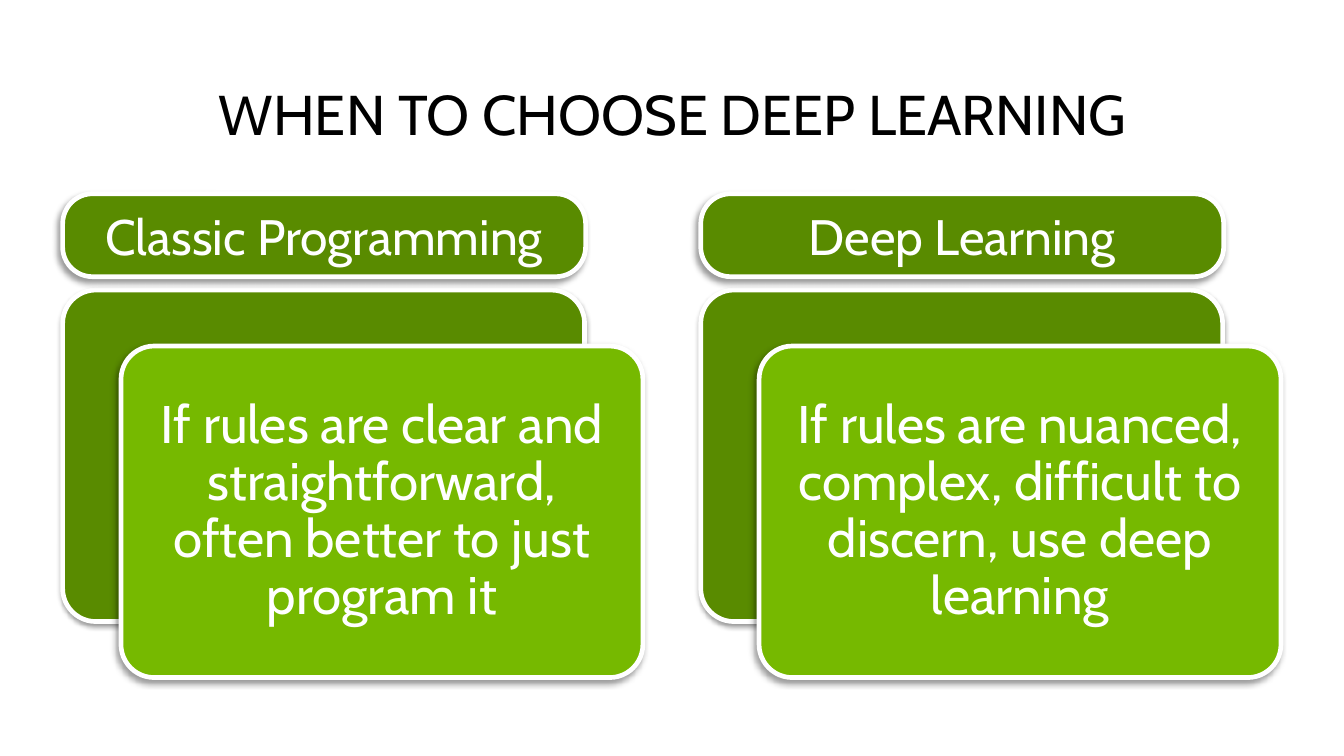
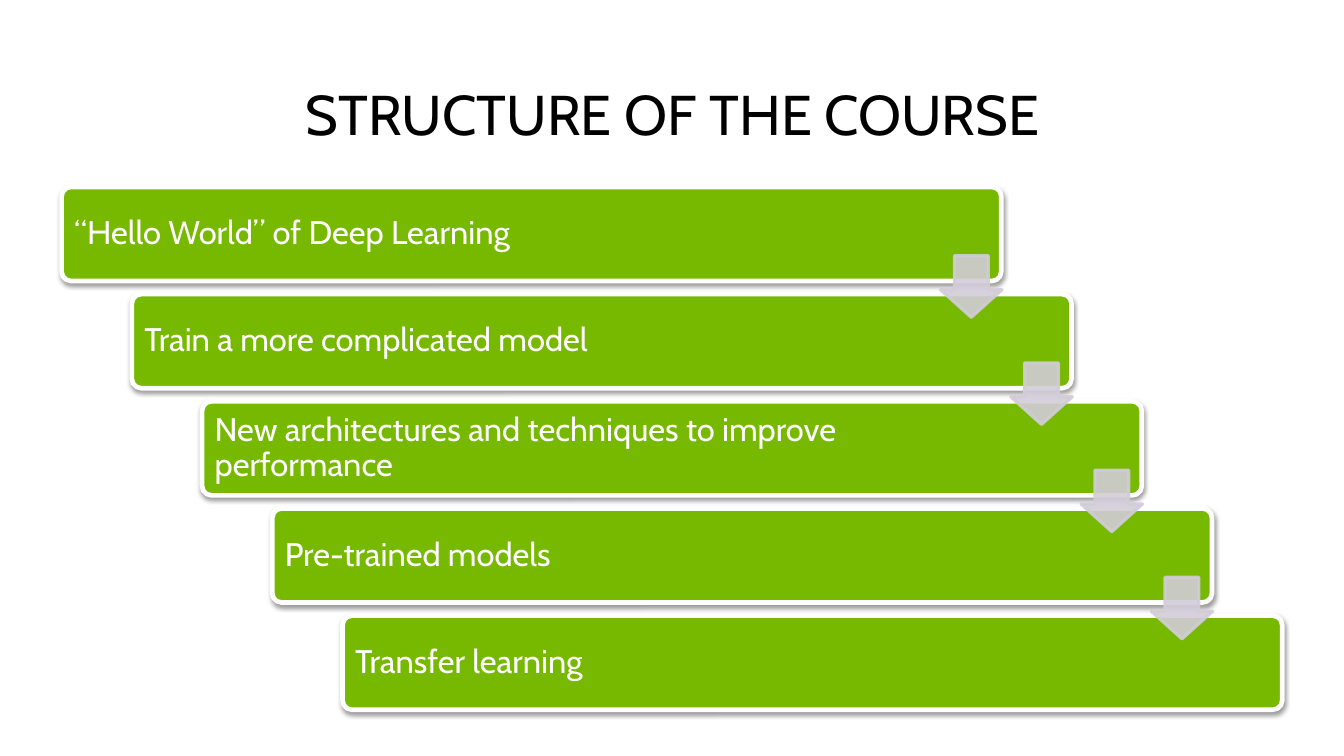
from dataclasses import dataclass

from lxml.etree import SubElement
from pptx import Presentation
from pptx.dml.color import RGBColor
from pptx.enum.shapes import MSO_SHAPE as Shape
from pptx.enum.text import MSO_ANCHOR as Anchor, PP_ALIGN as Align
from pptx.oxml.ns import qn
from pptx.util import Pt


@dataclass(frozen=True)
class Theme:
    font: str = "Cabin"
    black: str = "000000"
    white: str = "FFFFFF"
    dark_green: str = "598B00"
    green: str = "76B900"
    arrow: str = "D2CCD8"
    arrow_opacity: int = 90
    title_size: int = 36
    card_size: int = 34
    header_size: int = 32
    step_size: int = 21
    outline: int = 3
    arrow_outline: int = 2
    corner: float = 0.1
    header_corner: float = 0.36


@dataclass(frozen=True)
class Shadow:
    opacity: int
    blur: float
    distance: float
    angle: int


THEME = Theme()
SOFT_SHADOW = Shadow(38, 3.1, 1.6, 90)
DEEP_SHADOW = Shadow(40, 4, 3, 135)

COMPARISON = [
    ("Classic Programming",
     "If rules are clear and straightforward, often better to just program it"),
    ("Deep Learning",
     "If rules are nuanced, complex, difficult to discern, use deep learning"),
]
COURSE_STEPS = [
    "“Hello World” of Deep Learning",
    "Train a more complicated model",
    "New architectures and techniques to improve performance",
    "Pre-trained models",
    "Transfer learning",
]


# Shared helpers
def write_text(shape, text, size, color, align=Align.CENTER,
               anchor=Anchor.MIDDLE, spacing=None, inset=None):
    frame = shape.text_frame
    frame.word_wrap = True
    frame.vertical_anchor = anchor
    if inset is not None:
        frame.margin_left = frame.margin_right = Pt(inset)
        frame.margin_top = frame.margin_bottom = Pt(inset)
    paragraph = frame.paragraphs[0]
    paragraph.alignment = align
    paragraph.line_spacing = spacing
    run = paragraph.add_run()
    run.text = text
    run.font.name = THEME.font
    run.font.size = Pt(size)
    run.font.color.rgb = RGBColor.from_string(color)


def add_text(slide, left, top, width, height, text, size, color, **options):
    box = slide.shapes.add_textbox(Pt(left), Pt(top), Pt(width), Pt(height))
    write_text(box, text, size, color, spacing=0.9, **options)


def add_filled(slide, kind, left, top, width, height, fill, line, line_width):
    shape = slide.shapes.add_shape(kind, Pt(left), Pt(top), Pt(width), Pt(height))
    shape.shadow.inherit = False
    shape.fill.solid()
    shape.fill.fore_color.rgb = RGBColor.from_string(fill)
    shape.line.color.rgb = RGBColor.from_string(line)
    shape.line.width = Pt(line_width)
    return shape


def set_opacity(color_element, percent):
    SubElement(color_element, qn("a:alpha")).set("val", str(percent * 1000))


def cast_shadow(shape, shadow):
    effects = shape._element.spPr.find(qn("a:effectLst"))
    outer = SubElement(effects, qn("a:outerShdw"))
    outer.set("blurRad", str(Pt(shadow.blur)))
    outer.set("dist", str(Pt(shadow.distance)))
    outer.set("dir", str(shadow.angle * 60000))
    outer.set("rotWithShape", "0")
    color = SubElement(outer, qn("a:srgbClr"))
    color.set("val", THEME.black)
    set_opacity(color, shadow.opacity)


# Slide elements
def add_titled_slide(presentation, title):
    slide = presentation.slides.add_slide(presentation.slide_layouts[6])
    add_text(slide, 39.6, 51.8, 785.5, 46.8, title, THEME.title_size,
             THEME.black, anchor=Anchor.BOTTOM)
    return slide


def add_panel(slide, left, top, width, height, fill, shadow, corner=THEME.corner):
    panel = add_filled(slide, Shape.ROUNDED_RECTANGLE, left, top, width, height,
                       fill, THEME.white, THEME.outline)
    panel.adjustments[0] = corner
    cast_shadow(panel, shadow)
    return panel


def add_card(slide, left, text):
    top, width, height = 186.5, 335.5, 213.1
    offset_x, offset_y, inset = 37.5, 36, 6.2
    add_panel(slide, left, top, width, height, THEME.dark_green, SOFT_SHADOW)
    left, top = left + offset_x, top + offset_y
    add_panel(slide, left, top, width, height, THEME.green, DEEP_SHADOW)
    add_text(slide, left + inset, top + inset, width - 2 * inset,
             height - 2 * inset, text, THEME.card_size, THEME.white, inset=10)


def add_header(slide, left, text):
    header = add_panel(slide, left, 124.6, 336.2, 53.3, THEME.dark_green,
                       DEEP_SHADOW, THEME.header_corner)
    write_text(header, text, THEME.header_size, THEME.white)


def add_step_arrow(slide, left, top, size):
    arrow = add_filled(slide, Shape.DOWN_ARROW, left, top, size, size,
                       THEME.arrow, THEME.arrow, THEME.arrow_outline)
    arrow.adjustments[0] = 0.55
    arrow.adjustments[1] = 0.45
    for color in arrow._element.spPr.iter(qn("a:srgbClr")):
        set_opacity(color, THEME.arrow_opacity)


# Slides
def build_comparison(presentation):
    slide = add_titled_slide(presentation, "WHEN TO CHOOSE DEEP LEARNING")
    first_left, pitch = 40.3, 410.2
    columns = [(first_left + index * pitch, *texts)
               for index, texts in enumerate(COMPARISON)]
    for left, _, advice in columns:
        add_card(slide, left, advice)
    for left, heading, _ in columns:
        add_header(slide, left, heading)


def build_course(presentation):
    slide = add_titled_slide(presentation, "STRUCTURE OF THE COURSE")
    width, height, inset, arrow_size = 604.1, 60.5, 1.8, 39.6
    positions = [(39.6 + index * 45.15, 120.2 + index * 68.9)
                 for index in range(len(COURSE_STEPS))]
    for index, ((left, top), text) in enumerate(zip(positions, COURSE_STEPS)):
        add_panel(slide, left, top, width, height, THEME.green, SOFT_SHADOW)
        text_width = 516.2 if index else 531.4
        add_text(slide, left + inset, top + inset, text_width,
                 height - 2 * inset, text, THEME.step_size, THEME.white,
                 align=Align.LEFT, inset=6.3)
    # Each arrow leads from one step to the next
    for left, top in positions[:-1]:
        add_step_arrow(slide, left + width - arrow_size + 0.5, top + 44.2, arrow_size)


def main():
    presentation = Presentation()
    presentation.slide_width = Pt(864)
    presentation.slide_height = Pt(486)
    build_comparison(presentation)
    build_course(presentation)
    presentation.save("out.pptx")


if __name__ == "__main__":
    main()
